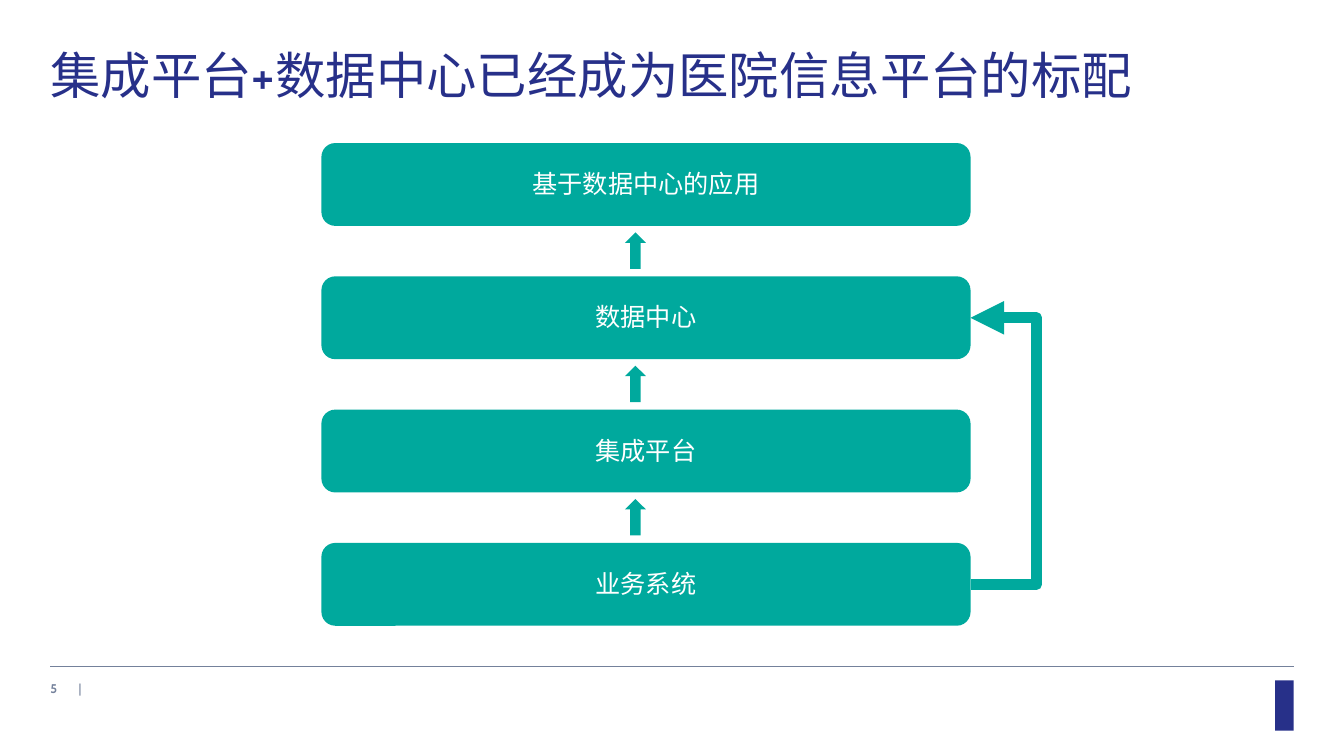
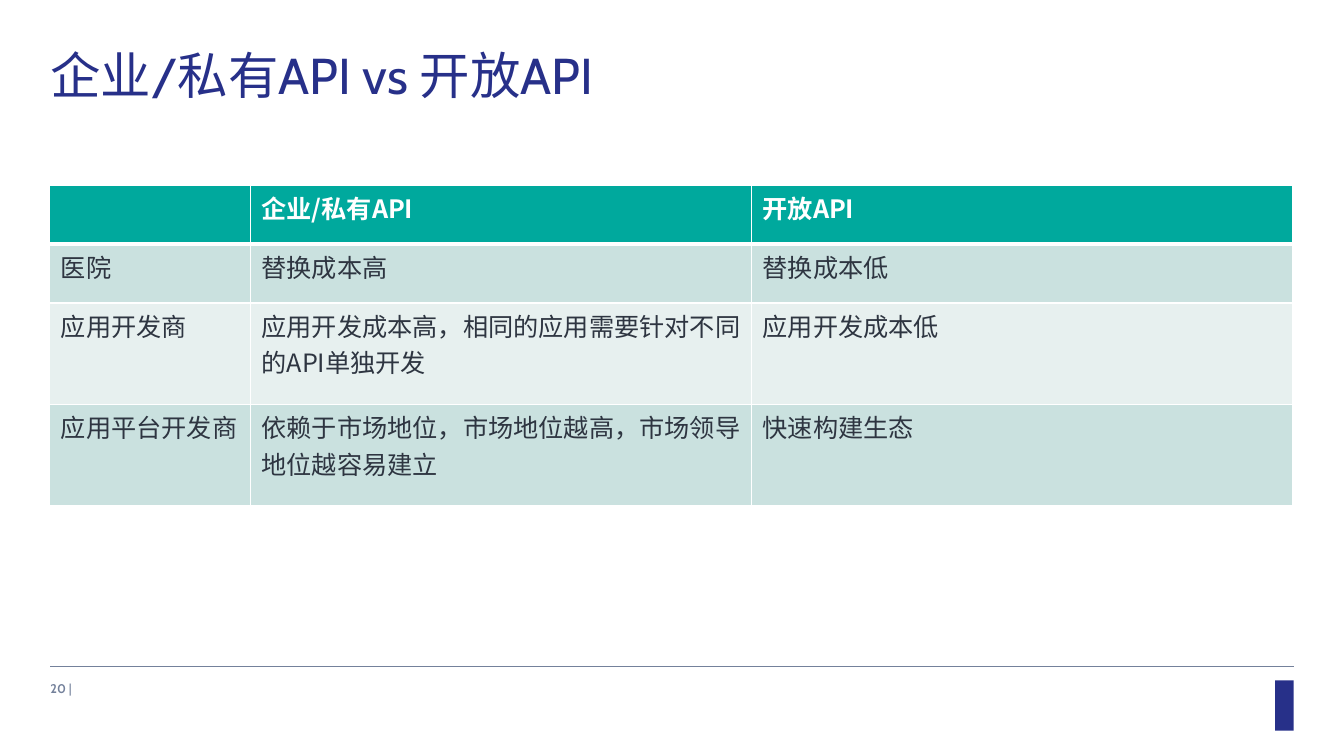
from itertools import pairwise

from lxml import etree
from pptx import Presentation
from pptx.dml.color import RGBColor
from pptx.enum.shapes import MSO_CONNECTOR, MSO_SHAPE
from pptx.enum.text import MSO_ANCHOR, PP_ALIGN
from pptx.oxml.ns import qn
from pptx.util import Pt

NAVY = RGBColor(0x27, 0x30, 0x89)
TEAL = RGBColor(0x00, 0xA9, 0x9D)
SLATE = RGBColor(0x74, 0x81, 0x9B)
INK = RGBColor(0x2E, 0x35, 0x41)
MINT = RGBColor(0xCA, 0xE1, 0xDF)
PALE_MINT = RGBColor(0xE7, 0xF0, 0xEF)
WHITE = RGBColor(0xFF, 0xFF, 0xFF)
CJK = "Noto Sans CJK SC"
LATIN = "Cabin"
RECTANGLE = MSO_SHAPE.RECTANGLE
ROUNDED = MSO_SHAPE.ROUNDED_RECTANGLE
UP_ARROW = MSO_SHAPE.UP_ARROW
STRAIGHT = MSO_CONNECTOR.STRAIGHT
MIDDLE = MSO_ANCHOR.MIDDLE
CENTER = PP_ALIGN.CENTER

SLIDE_WIDTH, SLIDE_HEIGHT = 960, 540
MARGIN = 36
RULE_RIGHT, RULE_TOP = 924, 475.9

LAYERS = ["基于数据中心的应用", "数据中心", "集成平台", "业务系统"]
API_ROWS = [
    ["", "企业/私有API", "开放API"],
    ["医院", "替换成本高", "替换成本低"],
    ["应用开发商", "应用开发成本高，相同的应用需要针对不同的API单独开发", "应用开发成本低"],
    ["应用平台开发商", "依赖于市场地位，市场地位越高，市场领导地位越容易建立", "快速构建生态"],
]
COLUMN_WIDTHS = [143.3, 358, 386.4]
ROW_HEIGHTS = [41.8, 42, 72.4, 72.4]
ROW_FILLS = [TEAL, MINT, PALE_MINT, MINT]


def set_typeface(font, name):
    """Use one typeface for both Latin and East Asian characters."""
    font.name = name
    etree.SubElement(font._rPr, qn("a:ea")).set("typeface", name)


def style_font(font, size, color, name=None, bold=None):
    """Set size, colour and, where given, typeface and weight."""
    font.size = Pt(size)
    font.color.rgb = color
    font.bold = bold
    if name:
        set_typeface(font, name)


def add_text(slide, left, top, width, height, inset_top=0):
    """Add a wrapping text box and return its paragraph."""
    shape = slide.shapes.add_textbox(Pt(left), Pt(top), Pt(width), Pt(height))
    frame = shape.text_frame
    frame.word_wrap = True
    frame.margin_left = frame.margin_right = frame.margin_bottom = 0
    frame.margin_top = Pt(inset_top)
    return frame.paragraphs[0]


def add_title(slide, width, runs):
    """Add the navy title from (text, typeface) runs."""
    paragraph = add_text(slide, MARGIN, 30.2, width, 45, 1)
    style_font(paragraph.font, 36, NAVY)
    for text, name in runs:
        run = paragraph.add_run()
        run.text = text
        set_typeface(run.font, name)


def add_flat_shape(slide, kind, left, top, width, height, color=TEAL):
    """Add a preset shape with a plain fill and no outline."""
    shape = slide.shapes.add_shape(kind, Pt(left), Pt(top), Pt(width), Pt(height))
    shape.shadow.inherit = False
    shape.fill.solid()
    shape.fill.fore_color.rgb = color
    shape.line.fill.background()
    return shape


def add_footer(slide, parts):
    """Add the rule, corner mark and text parts given as (left, runs)."""
    rule = slide.shapes.add_connector(
        STRAIGHT, Pt(MARGIN), Pt(RULE_TOP), Pt(RULE_RIGHT), Pt(RULE_TOP))
    rule.line.color.rgb = SLATE
    rule.line.width = Pt(0.5)
    etree.SubElement(rule._element.spPr, qn("a:effectLst"))
    add_flat_shape(slide, RECTANGLE, 910.8, 486, 13.2, 36, NAVY)
    for left, runs in parts:
        paragraph = add_text(slide, left, 485.3, 40, 12, 1.2)
        style_font(paragraph.font, 9, SLATE, LATIN)
        for text, bold in runs:
            run = paragraph.add_run()
            run.text = text
            run.font.bold = bold


def add_feedback_arrow(slide, left, start, end, reach):
    """Draw the thick arrow that leaves to the right and turns back."""
    right = left + reach
    builder = slide.shapes.build_freeform(Pt(left), Pt(start))
    builder.add_line_segments(
        [(Pt(right), Pt(start)), (Pt(right), Pt(end)), (Pt(left), Pt(end))], close=False)
    arrow = builder.convert_to_shape()
    arrow.shadow.inherit = False
    arrow.fill.background()
    arrow.line.color.rgb = TEAL
    arrow.line.width = Pt(8)
    line = arrow.line._get_or_add_ln()
    etree.SubElement(line, qn("a:round"))
    etree.SubElement(line, qn("a:tailEnd")).set("type", "triangle")


def add_layer_stack(slide, left, top, width, labels):
    """Stack layer boxes with upward arrows and a feedback arrow."""
    height, pitch = 59.2, 95.2
    arrow_width, arrow_height = 15, 26
    tops = [top + index * pitch for index in range(len(labels))]
    for label, box_top in zip(labels, tops):
        box = add_flat_shape(slide, ROUNDED, left, box_top, width, height)
        box.text_frame.vertical_anchor = MIDDLE
        box.text_frame.margin_bottom = Pt(5)
        paragraph = box.text_frame.paragraphs[0]
        paragraph.text = label
        paragraph.alignment = CENTER
        style_font(paragraph.font, 18, WHITE, CJK)
    for upper, lower in pairwise(tops):
        arrow_top = (upper + height + lower - arrow_height) / 2 - 0.4
        add_flat_shape(slide, UP_ARROW, left + 216.8, arrow_top, arrow_width, arrow_height)
    add_feedback_arrow(slide, left + width, tops[3] + height / 2, tops[1] + height / 2, 47)


def set_borders(cell, widths):
    """Give a cell white borders in left, right, top, bottom order."""
    properties = cell._tc.get_or_add_tcPr()
    for index, (side, width) in enumerate(zip("LRTB", widths)):
        border = etree.Element(qn("a:ln" + side), w=str(Pt(width)))
        fill = etree.SubElement(border, qn("a:solidFill"))
        etree.SubElement(fill, qn("a:srgbClr")).set("val", str(WHITE))
        properties.insert(index, border)


def add_comparison_table(slide, left, top, rows):
    """Add the comparison table with a teal header and banded rows."""
    frame = slide.shapes.add_table(
        len(rows), len(COLUMN_WIDTHS), Pt(left), Pt(top),
        Pt(sum(COLUMN_WIDTHS)), Pt(sum(ROW_HEIGHTS)))
    table = frame.table
    for column, width in zip(table.columns, COLUMN_WIDTHS):
        column.width = Pt(width)
    for row_index, texts in enumerate(rows):
        table.rows[row_index].height = Pt(ROW_HEIGHTS[row_index])
        header = row_index == 0
        borders = (1, 1, 3 if row_index == 1 else 1, 3 if header else 1)
        for column_index, text in enumerate(texts):
            cell = table.cell(row_index, column_index)
            cell.margin_left = Pt(7.9)
            cell.margin_top = Pt(2.9)
            cell.margin_right = cell.margin_bottom = 0
            cell.fill.solid()
            cell.fill.fore_color.rgb = ROW_FILLS[row_index]
            set_borders(cell, borders)
            paragraph = cell.text_frame.paragraphs[0]
            paragraph.text = text
            style_font(paragraph.font, 18, WHITE if header else INK, CJK, header)


def build_platform_slide(slide):
    """Build the slide on the layers of the hospital platform."""
    add_title(slide, 776, [
        ("集成平台", CJK), ("+", LATIN), ("数据中心已经成为医院信息平台的标配", CJK)])
    add_layer_stack(slide, 229.6, 102.2, 463.7, LAYERS)
    add_footer(slide, [(MARGIN, [("5", True)]), (56.2, [("|", False)])])


def build_api_slide(slide):
    """Build the slide comparing private and open APIs."""
    add_title(slide, 393, [
        ("企业", CJK), ("/", LATIN), ("私有", CJK),
        ("API vs ", LATIN), ("开放", CJK), ("API", LATIN)])
    add_comparison_table(slide, 35.6, 132.6, API_ROWS)
    add_footer(slide, [(MARGIN, [("20 ", True), ("|", False)])])


def main():
    """Build and save the presentation."""
    presentation = Presentation()
    presentation.slide_width = Pt(SLIDE_WIDTH)
    presentation.slide_height = Pt(SLIDE_HEIGHT)
    blank = presentation.slide_layouts[6]
    for build in (build_platform_slide, build_api_slide):
        build(presentation.slides.add_slide(blank))
    presentation.save("out.pptx")


if __name__ == "__main__":
    main()
